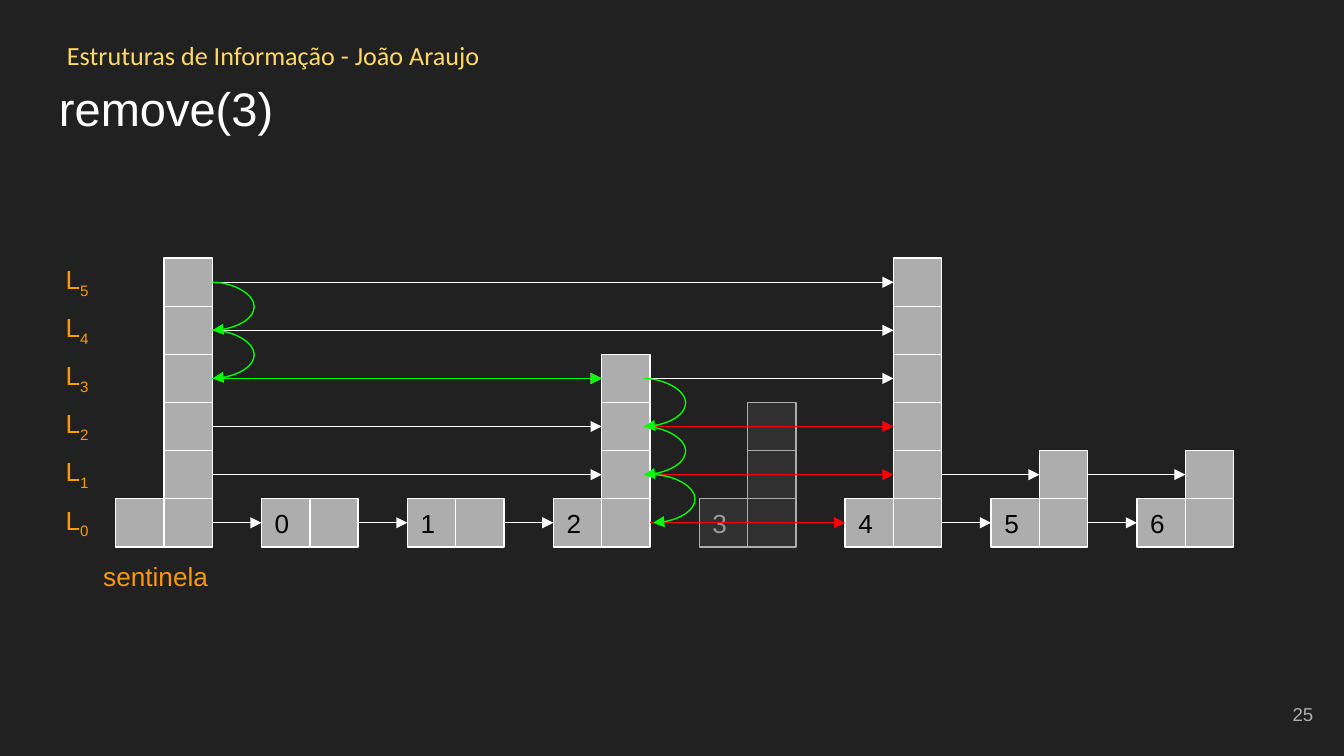
from lxml import etree
from pptx import Presentation
from pptx.dml.color import RGBColor
from pptx.enum.shapes import MSO_CONNECTOR, MSO_SHAPE
from pptx.enum.text import MSO_ANCHOR, PP_ALIGN
from pptx.oxml.ns import qn
from pptx.util import Emu, Inches, Pt

RECTANGLE = MSO_SHAPE.RECTANGLE
STRAIGHT, CURVE = MSO_CONNECTOR.STRAIGHT, MSO_CONNECTOR.CURVE
TOP, MIDDLE = MSO_ANCHOR.TOP, MSO_ANCHOR.MIDDLE
LEFT, RIGHT = PP_ALIGN.LEFT, PP_ALIGN.RIGHT
LEFT_SIDE, RIGHT_SIDE = 1, 3

COLORS = {
    "background": "212121", "course": "FFD966", "white": "FFFFFF",
    "label": "FF9900", "cell": "ADADAD", "key": "000000",
    "removed_cell": "303030", "removed_key": "999999",
    "relinked": "FF0000", "search": "00FF00",
}
COLORS = {name: RGBColor.from_string(value) for name, value in COLORS.items()}

# Grid of the skip list, in inches
CELL = 0.36
FIRST_LEFT, COLUMN = 0.86, 7.6 / 7
BOTTOM_ROW, ROW = 3.71, 1.79 / 5

# Key and number of levels of each node; the first one is the sentinel
NODES = [("", 6), ("0", 1), ("1", 1), ("2", 4),
         ("3", 3), ("4", 6), ("5", 2), ("6", 2)]
REMOVED = 4
LEVELS = 6


def write(box, text, size, color, font="Arial", anchor=TOP, align=LEFT):
    """Fill a box with one paragraph and return that paragraph."""
    frame = box.text_frame
    frame.word_wrap = True
    frame.vertical_anchor = anchor
    frame.margin_left = frame.margin_right = Inches(0.1)
    frame.margin_top = frame.margin_bottom = Inches(0.1)
    para = frame.paragraphs[0]
    para.text = text
    para.alignment = align
    para.font.size = Pt(size)
    para.font.name = font
    para.font.color.rgb = COLORS[color]
    return para


def style_arrow(arrow, color):
    arrow.line.color.rgb = COLORS[color]
    arrow.line.width = Pt(0.75)
    etree.SubElement(arrow.line._get_or_add_ln(), qn("a:tailEnd"), type="triangle")
    etree.SubElement(arrow._element.spPr, qn("a:effectLst"))


deck = Presentation()
deck.slide_width, deck.slide_height = Inches(10), Inches(5.625)
page = deck.slides.add_slide(deck.slide_layouts[6])
page.background.fill.solid()
page.background.fill.fore_color.rgb = COLORS["background"]
shapes = page.shapes

# Headings, sentinel caption and page number
for left, top, width, height, text, size, color, font, anchor, align in [
    (0.4, 0.19, 8.17, 0.44, "Estruturas de Informação - João Araujo",
     14, "course", "Calibri", TOP, LEFT),
    (0.34, 0.49, 9.32, 0.63, "remove(3)", 25.2, "white", "Arial", TOP, LEFT),
    (0.67, 4.07, 1.14, 0.44, "sentinela", 14, "label", "Arial", TOP, LEFT),
    (9.27, 5.1, 0.6, 0.43, "25", 10, "cell", "Arial", MIDDLE, RIGHT),
]:
    box = shapes.add_textbox(Inches(left), Inches(top), Inches(width), Inches(height))
    write(box, text, size, color, font, anchor, align)

# Level labels
for level in range(LEVELS):
    box = shapes.add_textbox(Inches(0.39), Inches(BOTTOM_ROW - 0.06 - level * ROW),
                             Inches(0.46), Inches(0.44))
    span = write(box, "L", 14, "label").add_run()
    span.text = str(level)
    span._r.get_or_add_rPr().set("baseline", "-25000")

# Nodes: a key cell, and a tower of pointer cells beside it
key_cells, towers = [], []
for index, (key, height) in enumerate(NODES):
    removed = index == REMOVED
    left = FIRST_LEFT + index * COLUMN
    places = [(left, 0)] + [(left + CELL, level) for level in range(height)]
    cells = []
    for cell_left, level in places:
        cell = shapes.add_shape(RECTANGLE, Inches(cell_left),
                                Inches(BOTTOM_ROW - level * ROW),
                                Inches(CELL), Inches(CELL))
        cell.shadow.inherit = False
        cell.fill.solid()
        cell.fill.fore_color.rgb = COLORS["removed_cell" if removed else "cell"]
        cell.line.color.rgb = COLORS["cell" if removed else "white"]
        cell.line.width = Pt(0.75)
        cells.append(cell)
    if key:
        write(cells[0], key, 14, "removed_key" if removed else "key", anchor=MIDDLE)
    key_cells.append(cells[0])
    towers.append(cells[1:])

# Links on each level join neighbours that reach it, passing over the removed node
links = []
for level in range(LEVELS):
    reached = [index for index, (key, height) in enumerate(NODES)
               if height > level and index != REMOVED]
    for start, end in zip(reached, reached[1:]):
        relinked = start < REMOVED < end and level < NODES[REMOVED][1]
        links.append((start, end, level, "relinked" if relinked else "white"))
links.append((0, 3, 3, "search"))

for start, end, level, color in links:
    target = towers[end][level] if level else key_cells[end]
    arrow = shapes.add_connector(STRAIGHT, 0, 0, 0, 0)
    arrow.begin_connect(towers[start][level], RIGHT_SIDE)
    arrow.end_connect(target, LEFT_SIDE)
    style_arrow(arrow, color)

# Search steps down one level; the bulge is a multiple of a very thin connector
THIN, BULGE = Emu(600), Inches(0.26)
for left, level in [(1.58, 5), (1.58, 4), (4.79, 3), (4.79, 2), (4.86, 1)]:
    middle = BOTTOM_ROW + CELL / 2 - level * ROW
    hop = shapes.add_connector(CURVE, Inches(left), Inches(middle),
                               Inches(left) + THIN, Inches(middle + ROW))
    guides = hop._element.spPr.find(qn("a:prstGeom")).get_or_add_avLst()
    etree.SubElement(guides, qn("a:gd"), name="adj1",
                     fmla=f"val {round(BULGE / THIN * 100000)}")
    style_arrow(hop, "search")

deck.save("out.pptx")
